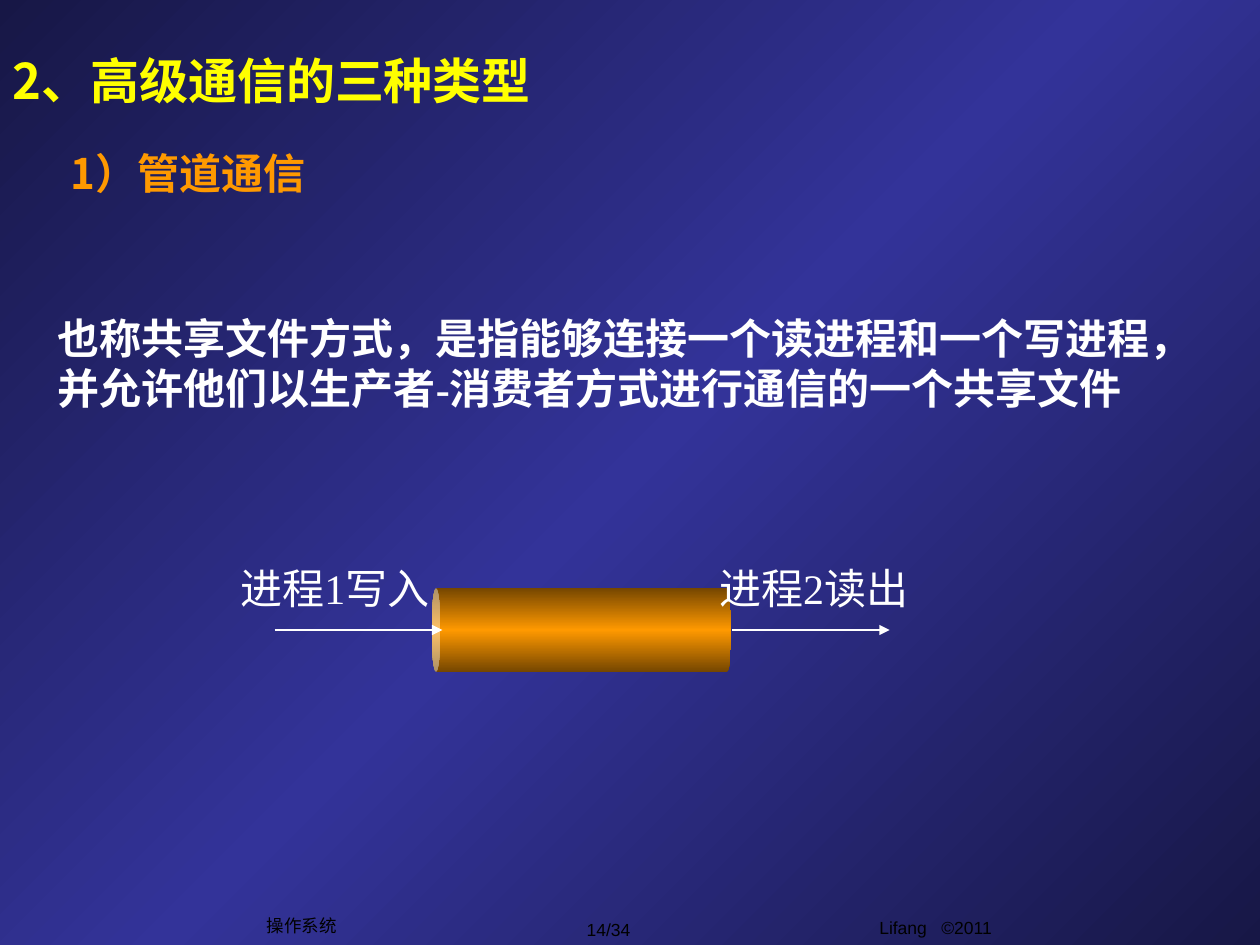
from copy import deepcopy

from lxml.etree import SubElement
from pptx import Presentation
from pptx.dml.color import RGBColor as RGB
from pptx.enum.shapes import MSO_CONNECTOR as CONN, MSO_SHAPE as SHAPE
from pptx.enum.text import MSO_ANCHOR as ANCHOR, MSO_AUTO_SIZE as AUTO, PP_ALIGN as ALIGN
from pptx.oxml.ns import qn
from pptx.util import Pt

COLORS = {
    "navy": "171746",
    "blue": "333399",
    "brown": "754600",
    "orange": "FF9900",
    "yellow": "FFFF00",
    "white": "FFFFFF",
    "black": "000000",
}
CJK = "Noto Sans CJK SC"
SERIF = "Times New Roman"


def put_text(sp, text, size=24, font=SERIF, color="white", bold=False,
             align=ALIGN.LEFT, anchor=ANCHOR.TOP, wrap=True, grow=True):
    tf = sp.text_frame
    tf.word_wrap = wrap
    tf.auto_size = AUTO.SHAPE_TO_FIT_TEXT if grow else AUTO.NONE
    tf.vertical_anchor = anchor
    p = tf.paragraphs[0]
    p.alignment = align
    r = p.add_run()
    r.text = text
    r.font.size = Pt(size)
    r.font.bold = bold
    r.font.color.rgb = RGB.from_string(COLORS[color])
    r.font.name = font
    SubElement(r.font._element, qn("a:ea"), typeface=CJK)


def mirror_gradient(fill, element, edge, middle, angle):
    fill.gradient()
    fill.gradient_angle = angle
    stops = next(element.iter(qn("a:gsLst")))
    stops.append(deepcopy(stops[-1]))
    for stop, name, position in zip(fill.gradient_stops, (edge, middle, edge), (0, 0.5, 1)):
        stop.color.rgb = RGB.from_string(COLORS[name])
        stop.position = position


prs = Presentation()
prs.slide_width, prs.slide_height = Pt(720), Pt(540)
s = prs.slides.add_slide(prs.slide_layouts[5])
mirror_gradient(s.background.fill, s.element, "navy", "blue", 135)

title = s.shapes.title
title.left, title.top, title.width, title.height = Pt(0), Pt(23), Pt(462), Pt(45)
put_text(title, "2、高级通信的三种类型", size=28, font=CJK, color="yellow", bold=True,
         anchor=ANCHOR.MIDDLE, grow=False)

can = s.shapes.add_shape(SHAPE.CAN, Pt(308.3), Pt(274.4), Pt(48), Pt(171.2))
can.rotation = 270
can.adjustments[0] = 0.103
can.shadow.inherit = False
can.line.fill.background()
mirror_gradient(can.fill, can.element, "brown", "orange", 0)

for x1, x2 in ((157, 252.8), (418.2, 508.4)):
    arrow = s.shapes.add_connector(CONN.STRAIGHT, Pt(x1), Pt(360), Pt(x2), Pt(360))
    arrow.line.width = Pt(0.75)
    arrow.line.color.rgb = RGB.from_string(COLORS["white"])
    SubElement(arrow.line._get_or_add_ln(), qn("a:tailEnd"), type="triangle")
    SubElement(arrow.element.spPr, qn("a:effectLst"))

footer = {"size": 10, "font": "Arial", "color": "black", "align": ALIGN.CENTER}
centered = {**footer, "anchor": ANCHOR.MIDDLE, "wrap": False}
boxes = [
    ("1）管道通信", (0, 80.6, 214.6, 36),
     {"font": CJK, "color": "orange", "bold": True, "align": ALIGN.CENTER}),
    ("也称共享文件方式，是指能够连接一个读进程和一个写进程，"
     "并允许他们以生产者-消费者方式进行通信的一个共享文件",
     (26, 175, 677.5, 65), {"bold": True}),
    ("进程1写入", (130.3, 318.2, 134, 36), {"wrap": False}),
    ("进程2读出", (403.9, 318.2, 134, 36), {"wrap": False}),
    ("操作系统", (145.4, 519.1, 54, 19.4), centered),
    ("14/34", (311, 521.3, 73.4, 19.4), centered),
    ("Lifang   ©2011", (420.5, 520.6, 228.2, 25.2), {**footer, "grow": False}),
]
for text, place, style in boxes:
    put_text(s.shapes.add_textbox(*map(Pt, place)), text, **style)

prs.save("out.pptx")
